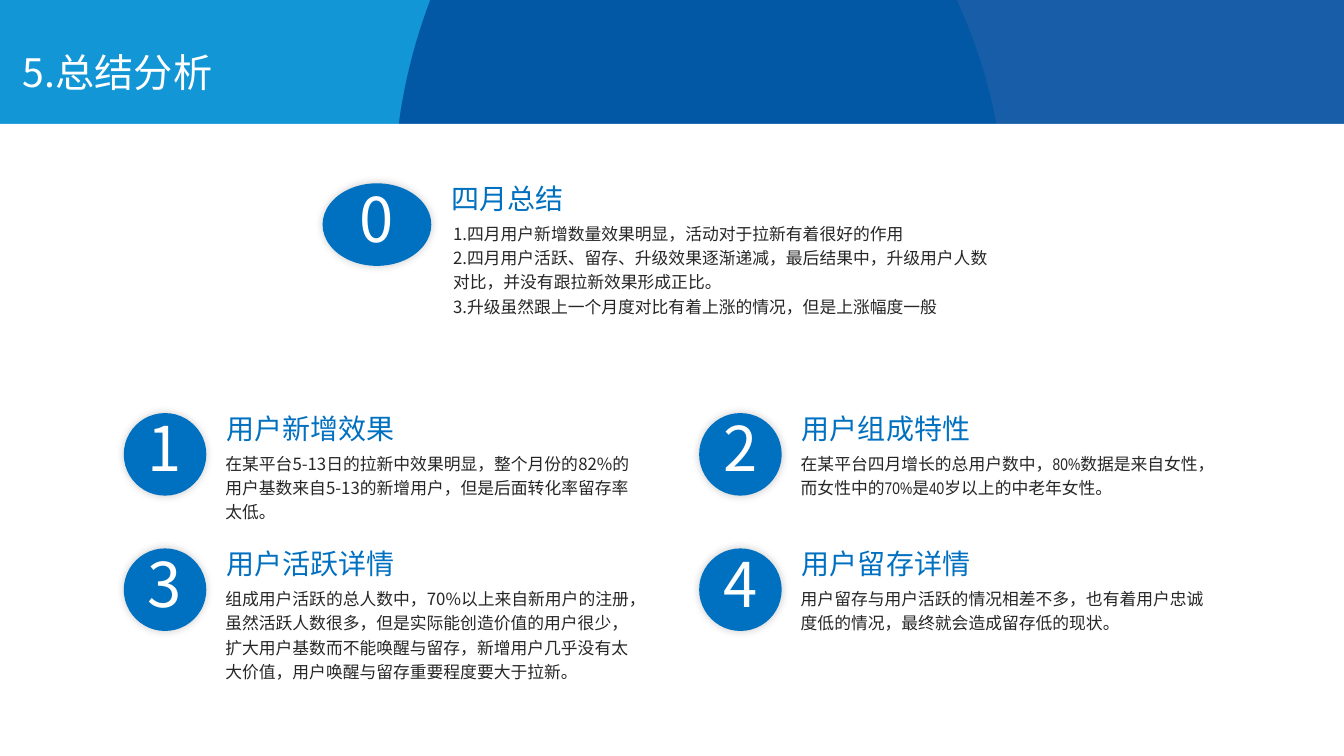
from lxml.etree import SubElement
from pptx import Presentation
from pptx.dml.color import RGBColor
from pptx.enum.shapes import MSO_SHAPE
from pptx.enum.text import MSO_ANCHOR, MSO_AUTO_SIZE, PP_ALIGN
from pptx.oxml.ns import qn
from pptx.util import Cm, Pt

SKY = RGBColor(0x01, 0x92, 0xD5)
NAVY = RGBColor(0x00, 0x4C, 0x9C)
PALE_BLUE = RGBColor(0x8E, 0xB4, 0xE3)
BLUE = RGBColor(0x00, 0x70, 0xC0)
INK = RGBColor(0x26, 0x26, 0x26)
WHITE = RGBColor(0xFF, 0xFF, 0xFF)
CHINESE_FONT = "Noto Sans CJK SC"
NARROW_FONT = "Arial Narrow"

SUMMARY = [
    "1.四月用户新增数量效果明显，活动对于拉新有着很好的作用",
    "2.四月用户活跃、留存、升级效果逐渐递减，最后结果中，升级用户人数对比，并没有跟拉新效果形成正比。",
    "3.升级虽然跟上一个月度对比有着上涨的情况，但是上涨幅度一般",
]
FINDINGS = [
    ("用户新增效果",
     "在某平台5-13日的拉新中效果明显，整个月份的82%的用户基数来自5-13的新增用户，但是后面转化率留存率太低。",
     3, CHINESE_FONT),
    ("用户组成特性",
     "在某平台四月增长的总用户数中，80%数据是来自女性，而女性中的70%是40岁以上的中老年女性。",
     2, NARROW_FONT),
    ("用户活跃详情",
     "组成用户活跃的总人数中，70%以上来自新用户的注册，虽然活跃人数很多，但是实际能创造价值的用户很少，"
     "扩大用户基数而不能唤醒与留存，新增用户几乎没有太大价值，用户唤醒与留存重要程度要大于拉新。",
     4, CHINESE_FONT),
    ("用户留存详情",
     "用户留存与用户活跃的情况相差不多，也有着用户忠诚度低的情况，最终就会造成留存低的现状。",
     2, CHINESE_FONT),
]


def add_filled_shape(shapes, kind, box, color, opacity=100):
    shape = shapes.add_shape(kind, *map(Cm, box))
    shape.shadow.inherit = False
    shape.fill.solid()
    shape.fill.fore_color.rgb = color
    shape.line.fill.background()
    if opacity < 100:
        color_element = shape._element.spPr.find(qn("a:solidFill"))[0]
        SubElement(color_element, qn("a:alpha"), val=str(opacity * 1000))
    return shape


def add_soft_shadow(shape):
    effects = shape._element.spPr.find(qn("a:effectLst"))
    shadow = SubElement(effects, qn("a:outerShdw"), blurRad=str(Pt(6)), dist="0",
                        dir=str(315 * 60000), algn="ctr", rotWithShape="0")
    color_element = SubElement(shadow, qn("a:srgbClr"), val="000000")
    SubElement(color_element, qn("a:alpha"), val="20000")


def add_text(shapes, box, lines, size, color, font=CHINESE_FONT, insets=(0.25, 0.13),
             spacing=None, alignment=None):
    text_box = shapes.add_textbox(*map(Cm, box))
    frame = text_box.text_frame
    frame.word_wrap = True
    frame.margin_left = frame.margin_right = Cm(insets[0])
    frame.margin_top = frame.margin_bottom = Cm(insets[1])
    frame.text = "\n".join(lines)
    for paragraph in frame.paragraphs:
        paragraph.line_spacing = spacing
        paragraph.alignment = alignment
        paragraph.font.size = Pt(size)
        paragraph.font.color.rgb = color
        paragraph.font.name = font
        SubElement(paragraph.font._element, qn("a:ea"), typeface=CHINESE_FONT)
    return frame


def add_header(slide, width, height, band_height):
    slide.background.fill.solid()
    slide.background.fill.fore_color.rgb = PALE_BLUE
    shapes = slide.shapes
    add_filled_shape(shapes, MSO_SHAPE.OVAL, (-12.88, -10.08, 38.2, 31.01), SKY, 88)
    add_filled_shape(shapes, MSO_SHAPE.OVAL, (9.93, -11.07, 37.59, 32), NAVY, 83)
    add_filled_shape(shapes, MSO_SHAPE.RECTANGLE,
                     (0, band_height, width, height - band_height), WHITE)
    add_text(shapes, (0.33, 1.09, 11.4, 2), ["5.总结分析"], 28, WHITE)


def add_finding(slide, left, top, number, heading, lines, line_count, font=CHINESE_FONT,
                badge_width=2.08, heading_width=8.43, body_width=10.8, body_gap=0.23):
    shapes = slide.shapes.add_group_shape().shapes
    right = left + badge_width
    badge = add_filled_shape(shapes, MSO_SHAPE.OVAL, (left, top, badge_width, 2.08), BLUE)
    add_soft_shadow(badge)
    numeral = add_text(shapes, (left + 0.38, top - 0.03, badge_width - 0.76, 1.78),
                       [str(number)], 44, WHITE, insets=(0, 0), alignment=PP_ALIGN.CENTER)
    numeral.vertical_anchor = MSO_ANCHOR.MIDDLE
    body = add_text(shapes, (right + body_gap, top + 0.79, body_width, 0.25 + 0.62 * line_count),
                    lines, 12, INK, font, spacing=1.2)
    title = add_text(shapes, (right, top - 0.3, heading_width, 1.35), [heading], 20, BLUE,
                     insets=(0.51, 0.25))
    for frame in (body, title):
        frame.auto_size = MSO_AUTO_SIZE.SHAPE_TO_FIT_TEXT


def add_findings_grid(slide, left, top, column_step, row_step):
    for index, (heading, text, line_count, font) in enumerate(FINDINGS):
        row, column = divmod(index, 2)
        add_finding(slide, left + column * column_step, top + row * row_step,
                    index + 1, heading, [text], line_count, font)


def main():
    presentation = Presentation()
    width, height = 33.87, 19.05
    presentation.slide_width = Cm(width)
    presentation.slide_height = Cm(height)
    slide = presentation.slides.add_slide(presentation.slide_layouts[6])
    add_header(slide, width, height, 3.12)
    add_findings_grid(slide, 3.12, 10.41, 14.5, 3.41)
    add_finding(slide, 8.13, 4.62, 0, "四月总结", SUMMARY, 4, badge_width=2.74,
                heading_width=11.07, body_width=14.17, body_gap=0.3)
    presentation.save("out.pptx")


if __name__ == "__main__":
    main()
